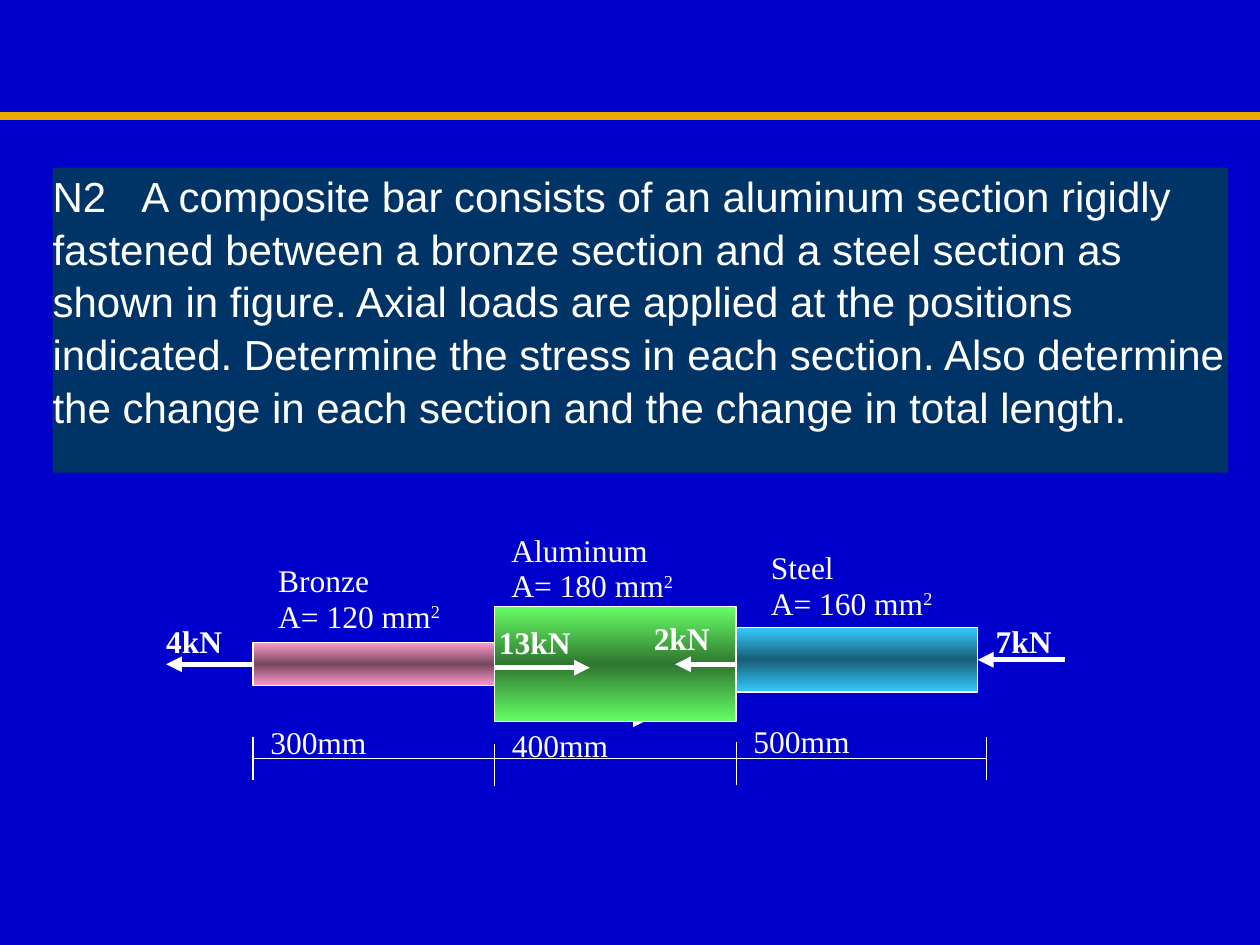
from copy import deepcopy

from lxml.etree import SubElement
from pptx import Presentation
from pptx.dml.color import RGBColor
from pptx.enum.shapes import MSO_CONNECTOR, MSO_SHAPE
from pptx.enum.text import MSO_ANCHOR, MSO_AUTO_SIZE, PP_ALIGN
from pptx.oxml.ns import qn
from pptx.util import Cm, Pt

COLORS = {
    "back": "0000CC", "rule": "E8AB00", "panel": "003366", "white": "FFFFFF",
    "bronze": "FF99CC", "bronze_dark": "76475E",
    "aluminum": "66FF66", "aluminum_dark": "2F762F",
    "steel": "33CCFF", "steel_dark": "185E76",
}


def rgb(name):
    return RGBColor.from_string(COLORS[name])


def add_text(p, text, font="Times New Roman", size=18, bold=False, baseline=0):
    r = p.add_run()
    r.text = text
    r.font.name, r.font.size, r.font.bold = font, Pt(size), bold
    r.font.color.rgb = rgb("white")
    if baseline:
        r._r.get_or_add_rPr().set("baseline", str(baseline * 1000))


class Drawing:
    def __init__(self, slide):
        self.s = slide
        slide.background.fill.solid()
        slide.background.fill.fore_color.rgb = rgb("back")

    def frame(self, shape):
        tf = shape.text_frame
        tf.word_wrap = True
        tf.auto_size = MSO_AUTO_SIZE.NONE
        tf.vertical_anchor = MSO_ANCHOR.TOP
        tf.margin_left = tf.margin_right = tf.margin_top = tf.margin_bottom = 0
        return tf

    def statement(self, x, y, w, h, number, text):
        sp = self.s.shapes.title
        sp.left, sp.top, sp.width, sp.height = Cm(x), Cm(y), Cm(w), Cm(h)
        sp.fill.solid()
        sp.fill.fore_color.rgb = rgb("panel")
        p = self.frame(sp).paragraphs[0]
        p.alignment, p.line_spacing = PP_ALIGN.LEFT, 1.05
        tabs = SubElement(p._p.get_or_add_pPr(), qn("a:tabLst"))
        SubElement(tabs, qn("a:tab"), pos=str(Cm(1.79)), algn="l")
        add_text(p, f"{number}\t{text}", font="Arial", size=24)

    def label(self, x, y, w, *lines, bold=False):
        """Each line is a tuple of its text and an optional superscript."""
        sp = self.s.shapes.add_textbox(Cm(x), Cm(y), Cm(w), Cm(0.4 + 0.8 * (len(lines) - 1)))
        tf = self.frame(sp)
        for i, (text, *power) in enumerate(lines):
            p = tf.add_paragraph() if i else tf.paragraphs[0]
            p.line_spacing = 0.55
            if i:
                p.space_before = Pt(8.5)
            add_text(p, text, bold=bold)
            for digit in power:
                add_text(p, digit, baseline=30)

    def bar(self, x, middle, w, h, color):
        sp = self.s.shapes.add_shape(
            MSO_SHAPE.RECTANGLE, Cm(x), Cm(middle - h / 2), Cm(w), Cm(h))
        sp.shadow.inherit = False
        sp.line.color.rgb, sp.line.width = rgb("white"), Pt(0.75)
        sp.fill.gradient()
        sp.fill.gradient_angle = 90
        edge, core = sp.fill.gradient_stops
        edge.color.rgb, core.color.rgb = rgb(color), rgb(color + "_dark")
        edge.position, core.position = 0, 0.5
        stops = sp._element.spPr.find(".//" + qn("a:gsLst"))
        last = deepcopy(stops[0])
        last.set("pos", "100000")
        stops.append(last)
        return sp

    def line(self, x1, y1, x2, y2, color="white", width=0.75, arrow=False):
        c = self.s.shapes.add_connector(
            MSO_CONNECTOR.STRAIGHT, Cm(x1), Cm(y1), Cm(x2), Cm(y2))
        c.line.color.rgb, c.line.width = rgb(color), Pt(width)
        if arrow:
            SubElement(c.line._get_or_add_ln(), qn("a:tailEnd"), type="triangle")
        SubElement(c._element.spPr, qn("a:effectLst"))
        return c

    def force(self, x1, y, x2):
        return self.line(x1, y, x2, y, width=3, arrow=True)


def main():
    prs = Presentation()
    prs.slide_width, prs.slide_height = Cm(25.4), Cm(19.05)
    d = Drawing(prs.slides.add_slide(prs.slide_layouts[5]))

    # Header rule and problem statement
    d.line(0, 2.33, 25.4, 2.33, color="rule", width=4.5)
    d.statement(
        1.06, 3.38, 23.7, 6.15, "N2",
        "A composite bar consists of an aluminum section rigidly fastened between "
        "a bronze section and a steel section as shown in figure. Axial loads are "
        "applied at the positions indicated. Determine the stress in each section. "
        "Also determine the change in each section and the change in total length.")

    # Sections of the bar: name, area, middle, height, label x and y, length, length y
    length = 4.87
    joints = [5.1 + i * length for i in range(4)]
    axis, steel_axis = 13.39, 13.3
    sections = [
        ("Bronze", 120, axis, 0.86, 5.61, 11.61, 300, 14.88),
        ("Aluminum", 180, axis, 2.32, 10.31, 11.0, 400, 14.94),
        ("Steel", 160, steel_axis, 1.3, 15.54, 11.35, 500, 14.86),
    ]
    d.force(11.4, 14.5, 13.08)  # mostly covered by the aluminum section
    bars = {}
    for x, (name, area, middle, h, lx, ly, mm, my) in zip(joints, sections):
        bars[name] = d.bar(x, middle, length, h, name.lower())
        d.label(lx, ly, 3.84, (name,), (f"A= {area} mm", "2"))
        d.label(x + 0.35, my, 3.84, (f"{mm}mm",))

    # Axial loads
    d.force(joints[0], axis, 3.35).begin_connect(bars["Bronze"], 1)
    d.force(joints[1], 13.46, 11.89)
    d.force(joints[2], axis, 13.61).begin_connect(bars["Aluminum"], 3)
    d.force(21.46, steel_axis, joints[3]).end_connect(bars["Steel"], 3)
    for text, x, y in [("4kN", 3.35, 12.83), ("13kN", 10.06, 12.85),
                       ("2kN", 13.18, 12.78), ("7kN", 20.07, 12.83)]:
        d.label(x, y, 2.5, (text,), bold=True)

    # Dimension line and its ticks
    end = 19.89
    d.line(joints[0], 15.29, end, 15.29)
    for x, y in zip([*joints[:3], end], [14.86, 14.99, 14.96, 14.86]):
        d.line(x, y, x, y + 0.86)

    prs.save("out.pptx")


if __name__ == "__main__":
    main()
